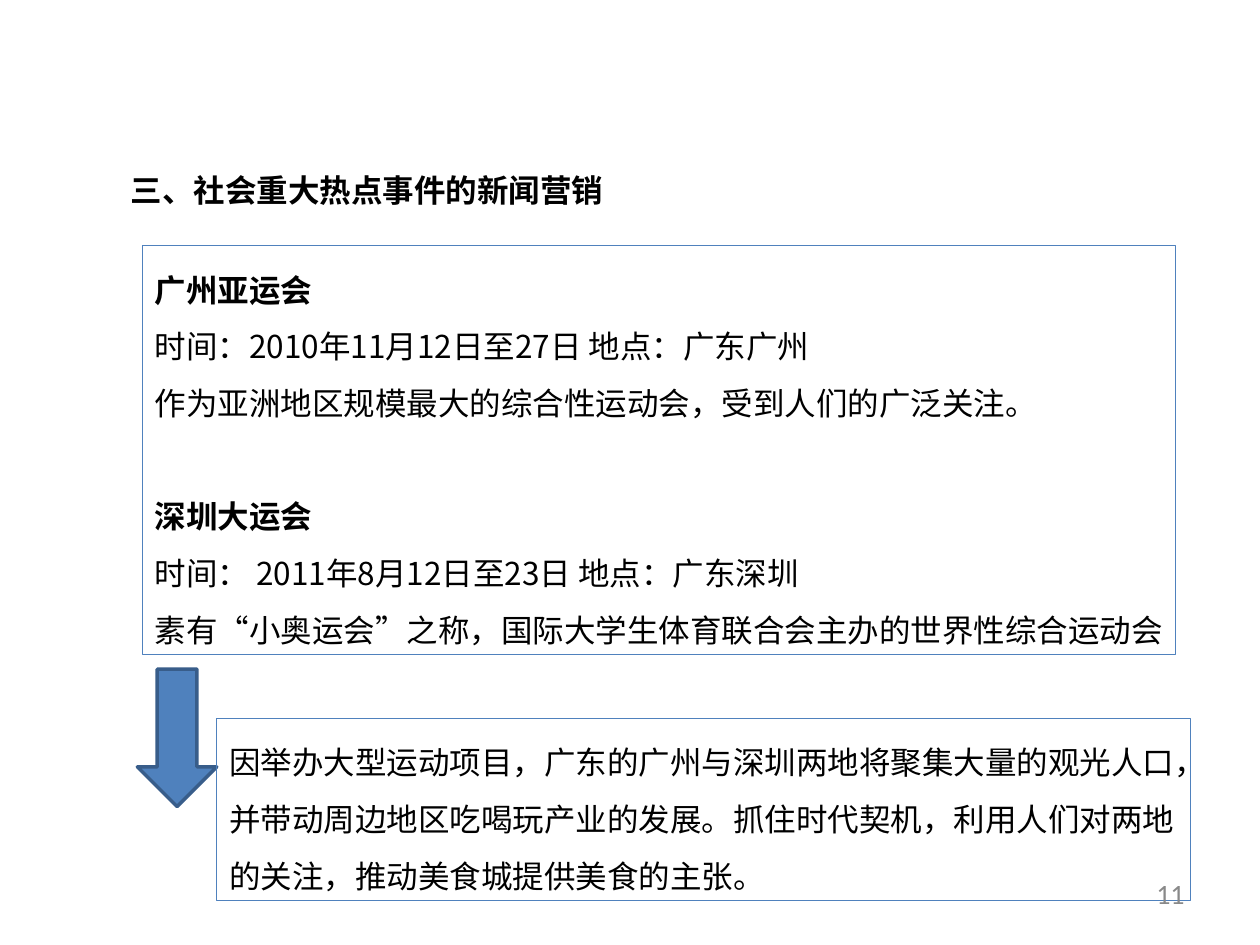
from lxml.etree import SubElement
from pptx import Presentation
from pptx.dml.color import RGBColor
from pptx.enum.shapes import MSO_SHAPE
from pptx.enum.text import MSO_ANCHOR, MSO_AUTO_SIZE, PP_ALIGN
from pptx.oxml.ns import qn
from pptx.util import Cm, Pt

BLACK = RGBColor(0x00, 0x00, 0x00)
GREY = RGBColor(0x89, 0x89, 0x89)
BLUE = RGBColor(0x4F, 0x81, 0xBD)
NAVY = RGBColor(0x38, 0x5D, 0x8A)
FONT = "Noto Sans CJK SC"

TITLE = "三、社会重大热点事件的新闻营销"
GAMES = [
    ("广州亚运会",
     "时间：2010年11月12日至27日 地点：广东广州",
     "作为亚洲地区规模最大的综合性运动会，受到人们的广泛关注。"),
    ("深圳大运会",
     "时间： 2011年8月12日至23日 地点：广东深圳",
     "素有“小奥运会”之称，国际大学生体育联合会主办的世界性综合运动会"),
]
NOTE = ("因举办大型运动项目，广东的广州与深圳两地将聚集大量的观光人口，"
        "并带动周边地区吃喝玩产业的发展。抓住时代契机，利用人们对两地的关注，"
        "推动美食城提供美食的主张。")


def style(para, size=18, bold=False, color=BLACK, face=FONT):
    for run in para.runs:
        font = run.font
        font.size = Pt(size)
        font.bold = bold
        font.color.rgb = color
        font.name = face
        east = SubElement(run._r.get_or_add_rPr(), qn("a:ea"))
        east.set("typeface", face)


def add_box(slide, left, top, width, height, lines, wrap=False, frame=False):
    """Add a text box; lines holds (text, bold, points before)."""
    box = slide.shapes.add_textbox(Cm(left), Cm(top), Cm(width), Cm(height))
    if frame:
        box.line.color.rgb = BLUE
        box.line.width = Pt(0.75)
    text = box.text_frame
    text.word_wrap = wrap
    text.auto_size = MSO_AUTO_SIZE.SHAPE_TO_FIT_TEXT
    text.text = "\n".join(line for line, _, _ in lines)
    for para, (_, bold, gap) in zip(text.paragraphs, lines):
        para.line_spacing = 1.5
        if gap:
            para.space_before = Pt(gap)
        style(para, bold=bold)


def add_arrow(slide, left, top, width, height):
    arrow = slide.shapes.add_shape(
        MSO_SHAPE.DOWN_ARROW, Cm(left), Cm(top), Cm(width), Cm(height))
    arrow.shadow.inherit = False
    arrow.fill.solid()
    arrow.fill.fore_color.rgb = BLUE
    arrow.line.color.rgb = NAVY
    arrow.line.width = Pt(2)


def add_number(slide, left, top, width, height, number):
    box = slide.shapes.add_textbox(Cm(left), Cm(top), Cm(width), Cm(height))
    text = box.text_frame
    text.word_wrap = True
    text.vertical_anchor = MSO_ANCHOR.MIDDLE
    text.text = number
    para = text.paragraphs[0]
    para.alignment = PP_ALIGN.RIGHT
    style(para, 16, color=GREY, face="Calibri")


def list_games():
    lines = []
    for name, *facts in GAMES:
        lines.append((name, True, 32.4 if lines else 0))
        lines += [(fact, False, 0) for fact in facts]
    return lines


def main():
    deck = Presentation()
    deck.slide_width, deck.slide_height = Cm(25.4), Cm(19.05)
    slide = deck.slides.add_slide(deck.slide_layouts[6])
    add_box(slide, 2.39, 2.95, 10.03, 1.4, [(TITLE, True, 0)])
    add_box(slide, 2.87, 4.95, 20.83, 8.25, list_games(), frame=True)
    add_arrow(slide, 2.77, 13.49, 1.6, 2.77)
    add_box(slide, 4.37, 14.48, 19.63, 3.68, [(NOTE, False, 0)],
            wrap=True, frame=True)
    add_number(slide, 18.21, 17.35, 5.92, 1.32, "11")
    deck.save("out.pptx")


if __name__ == "__main__":
    main()
